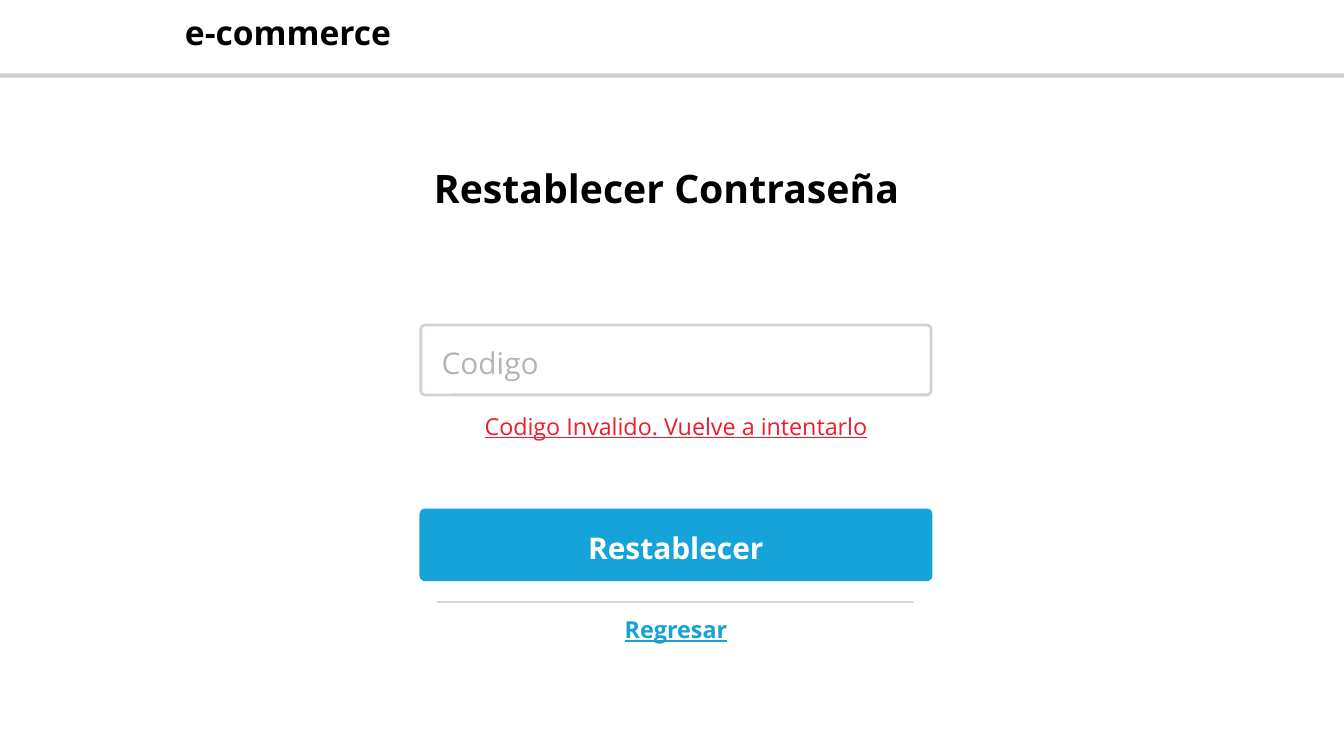
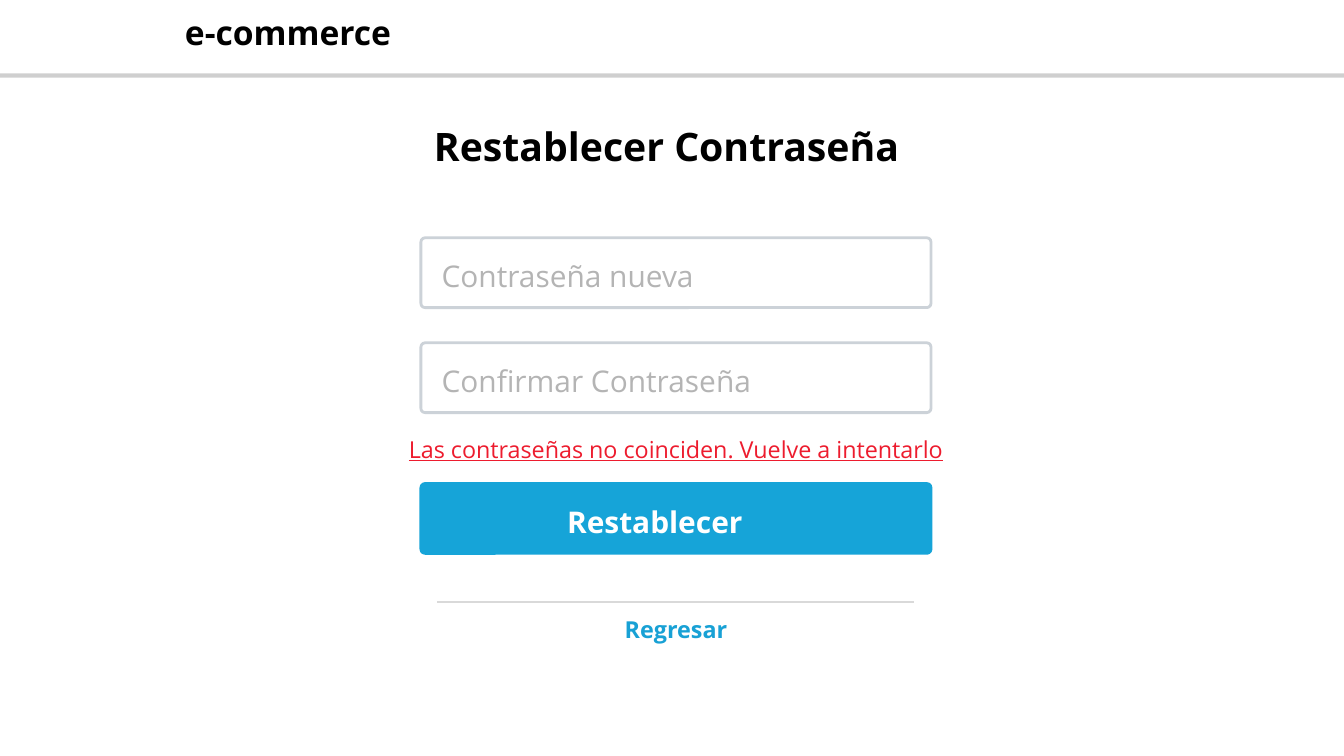
from lxml import etree
from pptx import Presentation
from pptx import util as u
from pptx.dml.color import RGBColor
from pptx.enum import shapes, text
from pptx.oxml import ns

# Shared colours, font and measures (lengths in cm)
WHITE = RGBColor(0xFF, 0xFF, 0xFF)
BLACK = RGBColor(0x00, 0x00, 0x00)
FIELD_EDGE = RGBColor(0xCC, 0xD2, 0xD8)
BUTTON_BLUE = RGBColor(0x16, 0xA4, 0xD8)
LINK_BLUE = RGBColor(0x18, 0xA1, 0xD5)
RULE_GREY = RGBColor(0xD9, 0xD9, 0xD9)
HINT_GREY = RGBColor(0xB4, 0xB4, 0xB4)
ERROR_RED = RGBColor(0xED, 0x1C, 0x2E)
FONT = "Open Sans"
LEADING = 1.4
FORM_CENTRE = 25.55
FIELD_WIDTH, FIELD_HEIGHT = 19.28, 2.64
FIELD_LEFT = FORM_CENTRE - FIELD_WIDTH / 2
RULE_WIDTH, RULE_TOP = 18.03, 22.76
LEFT, CENTRE = text.PP_ALIGN.LEFT, text.PP_ALIGN.CENTER


def write(box, words, size, colour, align=CENTRE, bold=False, underline=False):
    """Fill a text box or placeholder with one styled line."""
    frame = box.text_frame
    frame.margin_left = frame.margin_right = 0
    frame.margin_top = frame.margin_bottom = 0
    frame.word_wrap = True
    frame.auto_size = text.MSO_AUTO_SIZE.SHAPE_TO_FIT_TEXT
    frame.vertical_anchor = text.MSO_ANCHOR.TOP
    para = frame.paragraphs[0]
    para.alignment = align
    para.line_spacing = u.Pt(size * LEADING)
    span = para.add_run()
    span.text = words
    span.font.name, span.font.size = FONT, u.Pt(size)
    span.font.bold, span.font.underline = bold, underline
    span.font.color.rgb = colour


def add_label(page, left, top, width, height, words, size, colour, **style):
    box = page.shapes.add_textbox(u.Cm(left), u.Cm(top), u.Cm(width), u.Cm(height))
    write(box, words, size, colour, **style)


def add_centred(page, top, width, height, words, size, colour, **style):
    add_label(page, FORM_CENTRE - width / 2, top, width, height,
              words, size, colour, **style)


def set_alpha(fill, percent):
    colour = fill._xPr.find(".//" + ns.qn("a:srgbClr"))
    etree.SubElement(colour, ns.qn("a:alpha"), val=str(percent * 1000))


def add_header(page):
    """Translucent band across the top, with the shop name."""
    band = page.shapes.add_shape(shapes.MSO_SHAPE.RECTANGLE, u.Cm(-1.37),
                                 u.Cm(-0.53), u.Cm(52.92), u.Cm(3.39))
    band.shadow.inherit = False
    band.line.width = u.Pt(4.5)
    for fill, colour in ((band.fill, WHITE), (band.line.fill, BLACK)):
        fill.solid()
        fill.fore_color.rgb = colour
        set_alpha(fill, 18)
    add_label(page, 6.98, 0.2, 7.82, 1.7, "e-commerce", 36, BLACK, bold=True)


def add_title(page, top):
    title = page.shapes.title
    title.left, title.top = u.Cm(16.38), u.Cm(top)
    title.width, title.height = u.Cm(17.63), u.Cm(1.98)
    write(title, "Restablecer Contraseña", 42, BLACK, bold=True)


def add_frame(page, top, edge, fill=None):
    """Rounded outline shared by the fields and the button."""
    frame = page.shapes.add_shape(shapes.MSO_SHAPE.ROUNDED_RECTANGLE,
                                  u.Cm(FIELD_LEFT), u.Cm(top),
                                  u.Cm(FIELD_WIDTH), u.Cm(FIELD_HEIGHT))
    frame.adjustments[0] = 0.06
    frame.shadow.inherit = False
    frame.line.color.rgb, frame.line.width = edge, u.Pt(3)
    if fill is None:
        frame.fill.background()
    else:
        frame.fill.solid()
        frame.fill.fore_color.rgb = fill


def add_field(page, top, hint, hint_width):
    add_frame(page, top, FIELD_EDGE)
    add_label(page, FIELD_LEFT + 0.78, top + 0.51, hint_width, 1.5,
              hint, 32, HINT_GREY, align=LEFT)


def add_button(page, top, align):
    add_frame(page, top, BUTTON_BLUE, BUTTON_BLUE)
    add_centred(page, top + 0.53, 8.23, 1.45, "Restablecer", 32, WHITE,
                align=align, bold=True)


def add_error(page, top, width, words):
    add_centred(page, top, width, 1.19, words, 25, ERROR_RED, underline=True)


def add_return(page, underline):
    """Rule under the form and the link back."""
    rule = page.shapes.add_connector(
        shapes.MSO_CONNECTOR.STRAIGHT,
        u.Cm(FORM_CENTRE - RULE_WIDTH / 2), u.Cm(RULE_TOP),
        u.Cm(FORM_CENTRE + RULE_WIDTH / 2), u.Cm(RULE_TOP))
    rule.line.color.rgb, rule.line.width = RULE_GREY, u.Pt(3)
    etree.SubElement(rule._element.spPr, ns.qn("a:effectLst"))
    add_centred(page, 23.09, 3.9, 1.19, "Regresar", 25, LINK_BLUE,
                bold=True, underline=underline)


def add_page(deck, title_top):
    page = deck.slides.add_slide(deck.slide_layouts[5])
    add_header(page)
    add_title(page, title_top)
    return page


def main():
    deck = Presentation()
    deck.slide_width, deck.slide_height = u.Cm(50.8), u.Cm(28.58)

    # Code entry
    page = add_page(deck, 5.92)
    add_field(page, 12.29, "Codigo", 8.23)
    add_error(page, 15.39, 14.55, "Codigo Invalido. Vuelve a intentarlo")
    add_button(page, 19.28, CENTRE)
    add_return(page, underline=True)

    # New password
    page = add_page(deck, 4.34)
    for row, hint in enumerate(("Contraseña nueva", "Confirmar Contraseña")):
        add_field(page, 8.99 + 3.97 * row, hint, 12.34)
    add_error(page, 16.26, 20.3,
              "Las contraseñas no coinciden. Vuelve a intentarlo")
    add_button(page, 18.28, LEFT)
    add_return(page, underline=False)

    deck.save("out.pptx")


if __name__ == "__main__":
    main()
